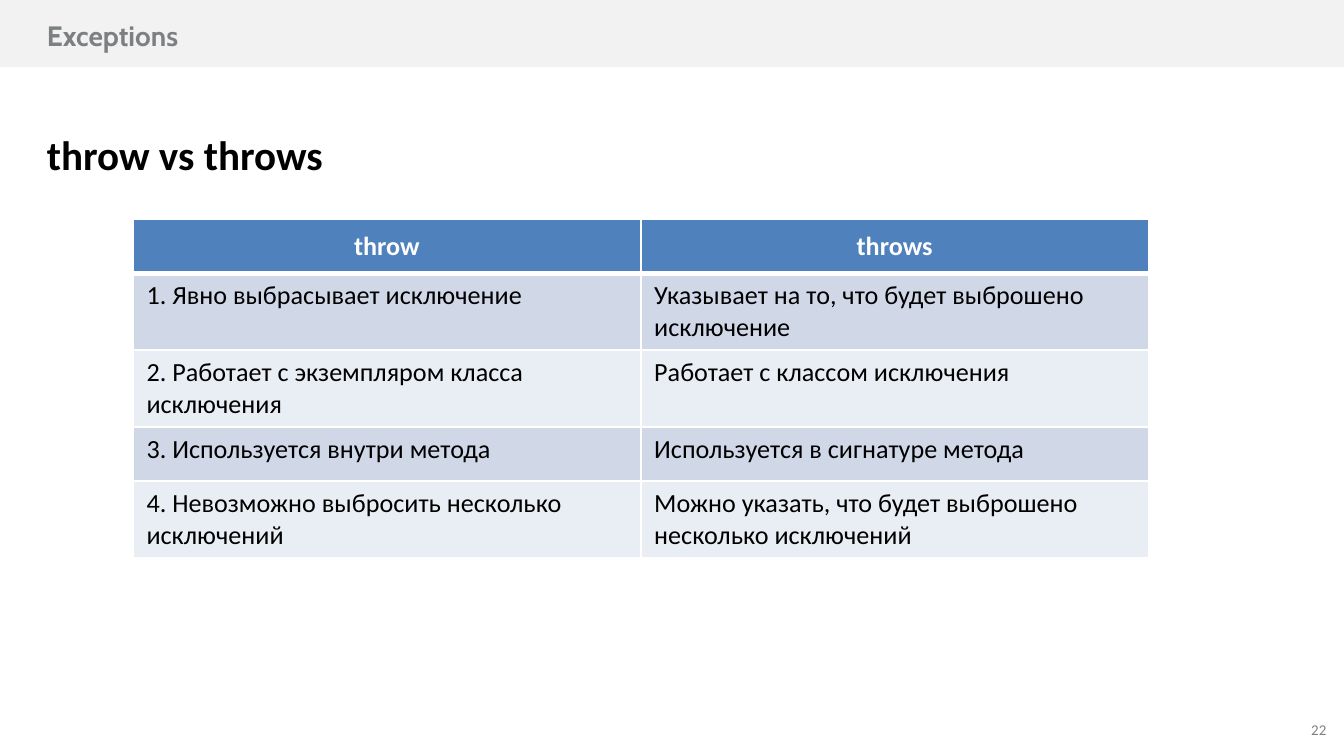
"""Build a slide that compares throw and throws in a two-column table."""
from lxml.etree import SubElement
from pptx import Presentation
from pptx.dml.color import RGBColor
from pptx.enum.shapes import MSO_SHAPE as Shape
from pptx.enum.text import MSO_ANCHOR as Anchor, PP_ALIGN as Align
from pptx.oxml.ns import qn
from pptx.util import Pt


def paint(fill, color):
    fill.solid()
    fill.fore_color.rgb = RGBColor.from_string(color)


def write(frame, text, size, color="000000", font="Calibri", bold=False,
          align=Align.LEFT, anchor=Anchor.TOP):
    frame.word_wrap = True
    frame.vertical_anchor = anchor
    frame.margin_left = frame.margin_right = Pt(6)
    frame.margin_top = frame.margin_bottom = Pt(3)
    paragraph = frame.paragraphs[0]
    paragraph.alignment = align
    run = paragraph.add_run()
    run.text = text
    run.font.size = Pt(size)
    run.font.name = font
    run.font.bold = bold
    paint(run.font.fill, color)


deck = Presentation()
deck.slide_width, deck.slide_height = Pt(720), Pt(405)
slide = deck.slides.add_slide(deck.slide_layouts[6])

header_band = slide.shapes.add_shape(Shape.RECTANGLE, 0, 0, Pt(720), Pt(36))
header_band.shadow.inherit = False
header_band.line.fill.background()
paint(header_band.fill, "F2F2F2")

topic = slide.shapes.add_textbox(Pt(19.2), Pt(7.2), Pt(584), Pt(24))
write(topic.text_frame, "Exceptions", 15, color="7D8083", font="Cabin",
      bold=True, anchor=Anchor.MIDDLE)

heading = slide.shapes.add_textbox(Pt(19.2), Pt(66.2), Pt(664), Pt(295))
write(heading.text_frame, "throw vs throws", 22, bold=True)

page_number = slide.shapes.add_textbox(Pt(548.6), Pt(380), Pt(168), Pt(21.6))
write(page_number.text_frame, "22", 8, color="808080", align=Align.RIGHT,
      anchor=Anchor.MIDDLE)

comparison = [
    ("throw", "throws"),
    ("1. Явно выбрасывает исключение",
     "Указывает на то, что будет выброшено исключение"),
    ("2. Работает с экземпляром класса исключения",
     "Работает с классом исключения"),
    ("3. Используется внутри метода", "Используется в сигнатуре метода"),
    ("4. Невозможно выбросить несколько исключений",
     "Можно указать, что будет выброшено несколько исключений"),
]
row_heights = [28.8, 41.2, 41.2, 28.8, 41.2]
table = slide.shapes.add_table(len(comparison), 2, Pt(71.3), Pt(117.6),
                               Pt(544), Pt(sum(row_heights))).table
for column in table.columns:
    column.width = Pt(272)

for row, (texts, height) in enumerate(zip(comparison, row_heights)):
    table.rows[row].height = Pt(height)
    is_header = row == 0
    for col, text in enumerate(texts):
        cell = table.cell(row, col)
        if is_header:
            write(cell.text_frame, text, 14, color="FFFFFF", bold=True,
                  align=Align.CENTER)
            cell.vertical_anchor = Anchor.MIDDLE
        else:
            write(cell.text_frame, text, 14)
        cell.margin_left = cell.margin_right = Pt(7.2)
        cell.margin_top = cell.margin_bottom = Pt(3.6)

        properties = cell._tc.get_or_add_tcPr()
        for side in ("L", "R", "T", "B"):
            thick = (side == "B" and row == 0) or (side == "T" and row == 1)
            border = SubElement(properties, qn(f"a:ln{side}"),
                                w=str(Pt(3 if thick else 1)))
            border_fill = SubElement(border, qn("a:solidFill"))
            SubElement(border_fill, qn("a:srgbClr"), val="FFFFFF")
        band = "D0D8E8" if row % 2 else "E9EDF4"
        paint(cell.fill, "4F81BD" if is_header else band)

deck.save("out.pptx")
